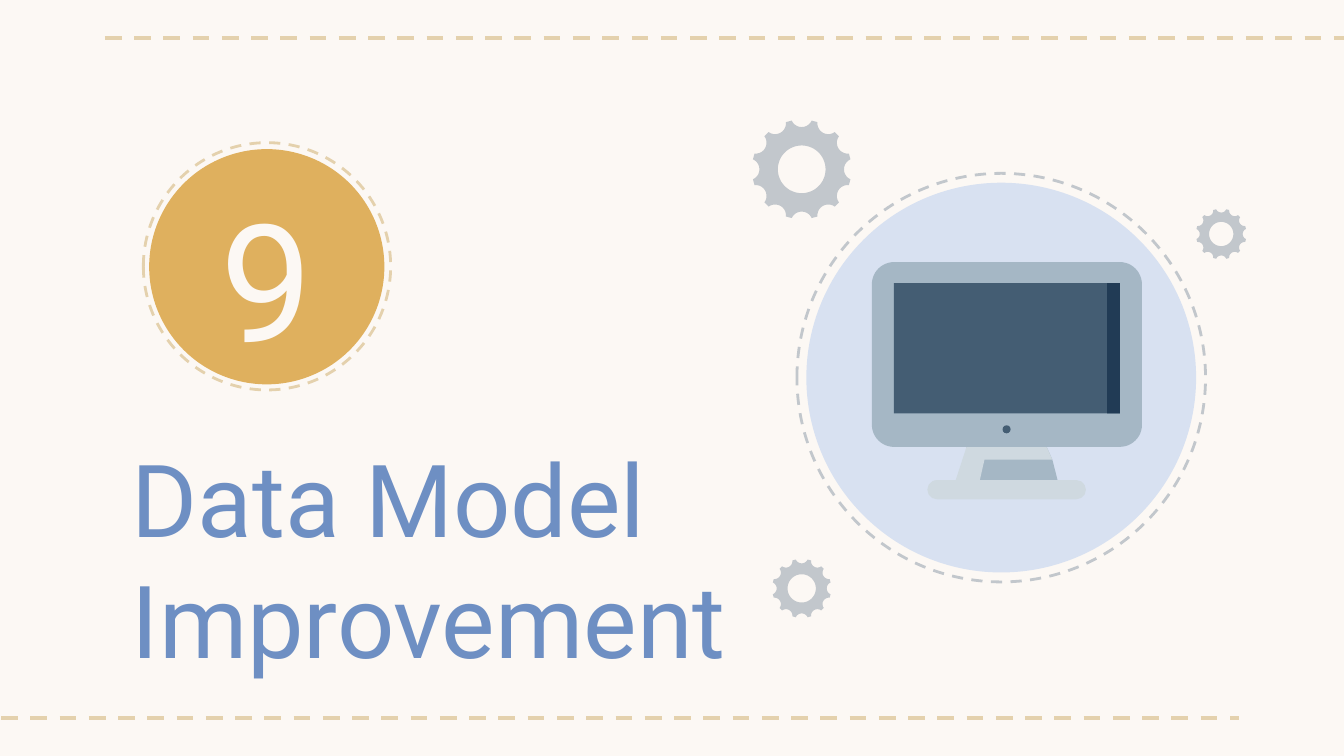
"""Build a section slide: chapter number, title and a desktop computer among gears."""
import math
from dataclasses import dataclass

import pptx
import pptx.dml.color
import pptx.enum.dml
import pptx.enum.shapes
import pptx.enum.text
import pptx.oxml
import pptx.oxml.ns
import pptx.util

CELL = pptx.util.Inches(0.1)
COLUMNS, ROWS = 100, 56.25
FONT = "Roboto"
CREAM, SAND, GOLD, BLUE = "FCF8F4", "E4D1AD", "DFB05E", "6E8FC3"
SILVER, SKY, STEEL, MIST = "C2C7CC", "D8E1F1", "A5B7C5", "CFD9E0"
SCREEN, SHADE = "445D73", "213B55"
OVAL = pptx.enum.shapes.MSO_SHAPE.OVAL
BOX = pptx.enum.shapes.MSO_SHAPE.RECTANGLE
ROUNDED = pptx.enum.shapes.MSO_SHAPE.ROUNDED_RECTANGLE
Point = tuple[float, float]


@dataclass(frozen=True)
class Disc:
    """A filled circle inside a dashed ring, in grid cells."""
    column: float
    row: float
    radius: float
    ring_column: float
    ring_row: float
    ring_radius: float
    fill: str
    ring: str


@dataclass(frozen=True)
class Gear:
    """A gear wheel, in grid cells."""
    column: float
    row: float
    radius: float


@dataclass(frozen=True)
class Part:
    """A preset shape of the computer, in grid cells."""
    kind: pptx.enum.shapes.MSO_SHAPE
    column: float
    row: float
    width: float
    height: float
    fill: str
    corner: float = 0


@dataclass(frozen=True)
class Panel:
    """A straight-edged outline of the computer's stand, in grid cells."""
    corners: tuple[Point, ...]
    fill: str


DISCS = [
    Disc(19.85, 19.85, 8.75, 19.87, 19.82, 9.2, GOLD, SAND),
    Disc(74.5, 28.1, 14.5, 74.5, 28.1, 15.2, SKY, SILVER),
]
GEARS = [Gear(59.65, 12.6, 3.7), Gear(90.87, 17.42, 1.88), Gear(59.65, 43.78, 2.19)]
STAND = [
    Panel(((74.9, 32), (71.9, 33.3), (72.9, 35.75), (78.7, 35.75), (78.3, 34.2), (77.9, 33.3)), STEEL),
    Panel(((74.9, 32), (71.9, 33.3), (71.1, 35.75), (72.9, 35.75), (73.25, 34.2), (78.3, 34.2), (77.9, 33.3)), MIST),
]
COMPUTER = [
    Part(ROUNDED, 64.87, 19.5, 20.1, 13.75, STEEL, 0.12),
    Part(BOX, 66.5, 21.07, 16.83, 9.7, SCREEN),
    Part(BOX, 82.38, 21.07, 0.95, 9.7, SHADE),
    Part(ROUNDED, 69, 35.72, 11.8, 1.43, MIST, 0.5),
    Part(OVAL, 74.6, 31.65, 0.6, 0.6, SCREEN),
]


def cells(count: float) -> pptx.util.Emu:
    """Turn a number of grid cells into a length."""
    return pptx.util.Emu(round(count * CELL))


def rgb(value: str) -> pptx.dml.color.RGBColor:
    """Turn a hex string into a colour."""
    return pptx.dml.color.RGBColor.from_string(value)


def dash(line, colour: str, width: float) -> None:
    """Make a line dashed."""
    line.color.rgb = rgb(colour)
    line.width = pptx.util.Pt(width)
    line.dash_style = pptx.enum.dml.MSO_LINE.DASH


def paint(shape, fill: str) -> None:
    """Fill a shape without outline or shadow."""
    shape.shadow.inherit = False
    shape.fill.solid()
    shape.fill.fore_color.rgb = rgb(fill)
    shape.line.fill.background()


def draw_rule(slide, start: float, end: float, row: float) -> None:
    """Draw a horizontal dashed rule."""
    rule = slide.shapes.add_connector(
        pptx.enum.shapes.MSO_CONNECTOR.STRAIGHT, cells(start), cells(row), cells(end), cells(row))
    dash(rule.line, SAND, 2.25)
    rule._element.spPr.append(pptx.oxml.parse_xml(f"<a:effectLst {pptx.oxml.ns.nsdecls('a')}/>"))


def draw_part(slide, part: Part) -> None:
    """Draw a filled preset shape."""
    shape = slide.shapes.add_shape(
        part.kind, cells(part.column), cells(part.row), cells(part.width), cells(part.height))
    if part.corner:
        shape.adjustments[0] = part.corner
    paint(shape, part.fill)


def draw_disc(slide, disc: Disc) -> None:
    """Draw the dashed ring and the circle inside it."""
    ring = slide.shapes.add_shape(
        OVAL, cells(disc.ring_column - disc.ring_radius), cells(disc.ring_row - disc.ring_radius),
        cells(2 * disc.ring_radius), cells(2 * disc.ring_radius))
    ring.shadow.inherit = False
    ring.fill.background()
    dash(ring.line, disc.ring, 1.5)
    draw_part(slide, Part(OVAL, disc.column - disc.radius, disc.row - disc.radius,
                          2 * disc.radius, 2 * disc.radius, disc.fill))


def draw_outline(slide, contours: list[list[Point]], fill: str) -> None:
    """Draw one filled freeform from closed contours."""
    points = [[(cells(x), cells(y)) for x, y in contour] for contour in contours]
    builder = slide.shapes.build_freeform(*points[0][0])
    for index, contour in enumerate(points):
        if index:
            builder.move_to(*contour[0])
        builder.add_line_segments(contour[1:], close=True)
    paint(builder.convert_to_shape(), fill)


def arc(centre: Point, radius: float, start: float, end: float, steps: int) -> list[Point]:
    """List points along an arc, with angles in degrees."""
    angles = [math.radians(start + (end - start) * step / steps) for step in range(steps + 1)]
    return [(centre[0] + radius * math.cos(a), centre[1] + radius * math.sin(a)) for a in angles]


def draw_gear(slide, gear: Gear) -> None:
    """Draw a gear with twelve round notches and a hole."""
    rim = []
    for angle in range(0, 360, 30):
        reach = 1.07 * gear.radius
        notch = (gear.column + reach * math.cos(math.radians(angle)),
                 gear.row + reach * math.sin(math.radians(angle)))
        rim += arc(notch, 0.22 * gear.radius, angle + 246, angle + 114, 10)
    hole = arc((gear.column, gear.row), 0.48 * gear.radius, 0, 360, 60)[:-1]
    draw_outline(slide, [hole, rim], SILVER)


def write(shape, text: str, size: float, colour: str, anchor, align) -> None:
    """Write one wrapped paragraph into a shape."""
    frame = shape.text_frame
    frame.text = text
    frame.word_wrap = True
    frame.auto_size = pptx.enum.text.MSO_AUTO_SIZE.NONE
    frame.vertical_anchor = anchor
    frame.margin_left = frame.margin_right = frame.margin_top = frame.margin_bottom = cells(1)
    paragraph = frame.paragraphs[0]
    paragraph.alignment = align
    paragraph.font.name = FONT
    paragraph.font.size = pptx.util.Pt(size)
    paragraph.font.color.rgb = rgb(colour)


def main() -> None:
    """Build and save the slide."""
    deck = pptx.Presentation()
    deck.slide_width, deck.slide_height = cells(COLUMNS), cells(ROWS)
    slide = deck.slides.add_slide(deck.slide_layouts.get_by_name("Title Only"))
    slide.background.fill.solid()
    slide.background.fill.fore_color.rgb = rgb(CREAM)
    draw_rule(slide, 7.8, 102.1, 2.85)
    draw_rule(slide, -2.1, 92.2, 53.4)
    for disc in DISCS:
        draw_disc(slide, disc)
    title = slide.shapes.title
    title.left, title.top, title.width, title.height = map(cells, (8.8, 31.5, 52, 9.2))
    write(title, "Data Model Improvement", 54, BLUE,
          pptx.enum.text.MSO_ANCHOR.TOP, pptx.enum.text.PP_ALIGN.LEFT)
    number = slide.shapes.add_textbox(*map(cells, (10, 11.6, 19.7, 18)))
    write(number, "9", 88, CREAM, pptx.enum.text.MSO_ANCHOR.MIDDLE, pptx.enum.text.PP_ALIGN.CENTER)
    for gear in GEARS:
        draw_gear(slide, gear)
    for panel in STAND:
        draw_outline(slide, [list(panel.corners)], panel.fill)
    for part in COMPUTER:
        draw_part(slide, part)


    deck.save("out.pptx")


if __name__ == "__main__":
    main()
